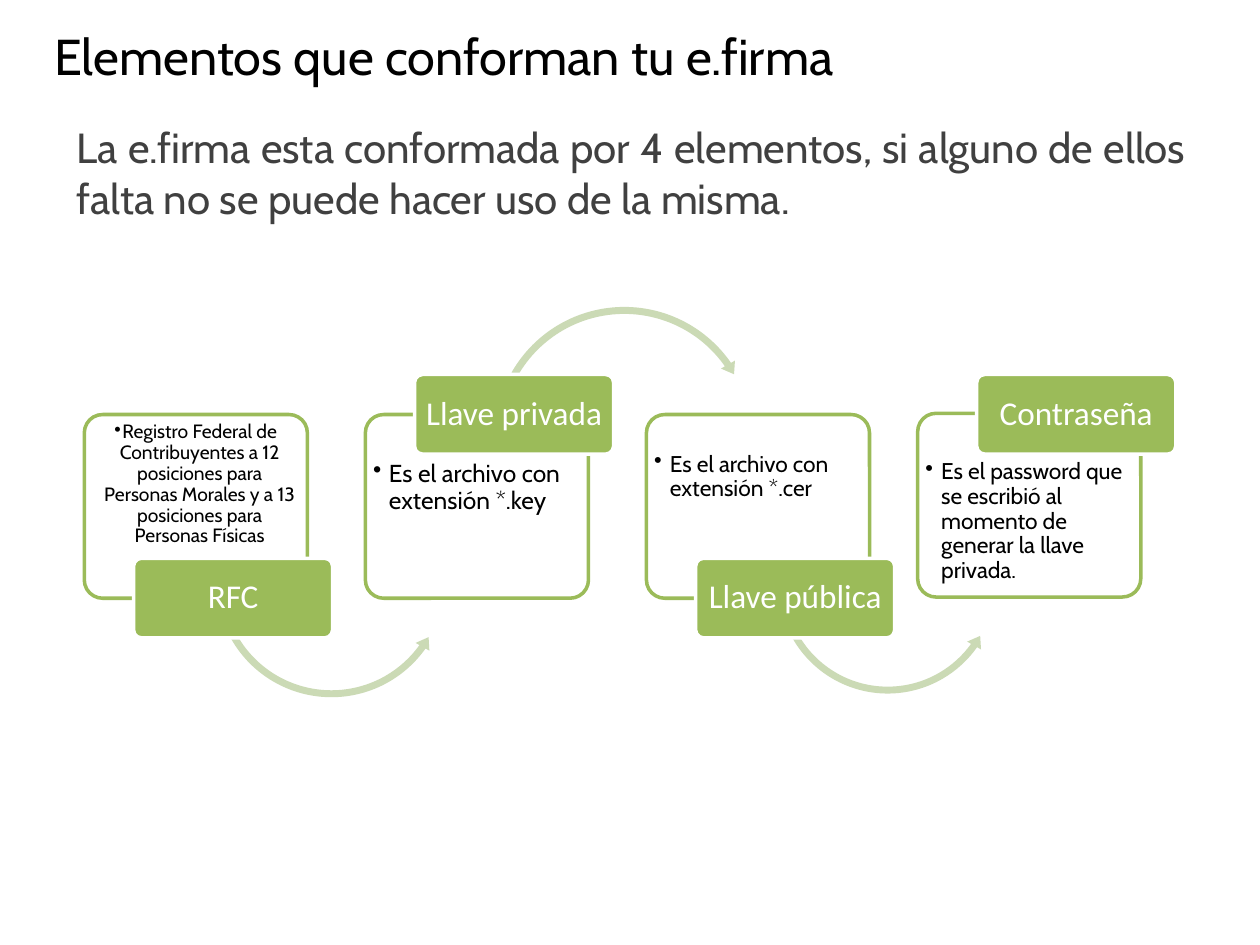
from lxml.etree import SubElement
from pptx import Presentation
from pptx.dml.color import RGBColor
from pptx.enum.shapes import MSO_SHAPE
from pptx.enum.text import MSO_ANCHOR, PP_ALIGN
from pptx.oxml.ns import qn
from pptx.util import Pt

COLORS = {"green": "9BBB59", "pale": "CBDAB5", "white": "FFFFFF",
          "black": "000000", "gray": "404040"}
CARD_W, CARD_H = 127.5, 105
TAG_W, TAG_H = 113.75, 45.5
HIGH, LOW = 214, 319  # tops of the labels above and below a card
PITCH = 160.6


def color(name):
    return RGBColor.from_string(COLORS[name])


class Deck:
    """Holds the style and the current slide."""
    body = "Cabin"
    label = "Calibri"

    def __init__(self):
        self.prs = Presentation()
        self.prs.slide_width, self.prs.slide_height = Pt(720), Pt(540)
        self.slide = self.prs.slides.add_slide(self.prs.slide_layouts[6])

    def letter(self, shape, text, size, font, ink, align, anchor, insets):
        """Fill a shape with one paragraph; insets are left, top, right, bottom."""
        frame = shape.text_frame
        frame.word_wrap = True
        frame.vertical_anchor = anchor
        (frame.margin_left, frame.margin_top,
         frame.margin_right, frame.margin_bottom) = map(Pt, insets)
        para = frame.paragraphs[0]
        para.text = text
        para.alignment = align
        para.font.size, para.font.name = Pt(size), font
        para.font.color.rgb = color(ink)
        return para

    def text(self, box, text, size, ink, align=PP_ALIGN.LEFT,
             anchor=MSO_ANCHOR.TOP):
        shape = self.slide.shapes.add_textbox(*map(Pt, box))
        self.letter(shape, text, size, self.body, ink, align, anchor,
                    (7.2, 3.6, 7.2, 3.6))

    def shape(self, kind, box, fill, line=None, adj=()):
        shape = self.slide.shapes.add_shape(kind, *map(Pt, box))
        shape.shadow.inherit = False
        shape.fill.solid()
        shape.fill.fore_color.rgb = color(fill)
        if line:
            shape.line.color.rgb = color(line)
            shape.line.width = Pt(2)
        else:
            shape.line.fill.background()
        for i, value in enumerate(adj):
            shape.adjustments[i] = value
        return shape

    def card(self, left, top, text, size, inset, align, indent):
        shape = self.shape(MSO_SHAPE.ROUNDED_RECTANGLE,
                           (left, top, CARD_W, CARD_H), "white", "green", [0.1])
        fill = shape._element.spPr.find(qn("a:solidFill")).find(qn("a:srgbClr"))
        SubElement(fill, qn("a:alpha")).set("val", "90000")
        para = self.letter(shape, text, size, self.body, "black", align,
                           MSO_ANCHOR.TOP, (1.4, inset, 1.4, 1.4))
        para.line_spacing = 0.9
        props = para._p.get_or_add_pPr()
        props.set("marL", str(Pt(indent)))
        props.set("indent", str(-Pt(indent)))
        SubElement(props, qn("a:buChar")).set("char", "•")
        props.append(props.find(qn("a:defRPr")))

    def arc(self, kind, left, top, side, adj):
        self.shape(kind, (left, top, side, side), "pale", adj=adj)

    def tag(self, left, top, text):
        shape = self.shape(MSO_SHAPE.ROUNDED_RECTANGLE,
                           (left, top, TAG_W, TAG_H), "green", "white", [0.1])
        para = self.letter(shape, text, 19, self.label, "white",
                           PP_ALIGN.CENTER, MSO_ANCHOR.MIDDLE, (2.9, 2, 2.9, 2))
        para.line_spacing = 0.9


def main():
    deck = Deck()
    deck.text((23.8, 15.1, 648, 33.1), "Elementos que conforman tu e.firma",
              28.8, "black", anchor=MSO_ANCHOR.MIDDLE)
    deck.text((36.7, 66.2, 648, 390),
              "La e.firma esta conformada por 4 elementos, si alguno de ellos "
              "falta no se puede hacer uso de la misma.",
              24, "gray", PP_ALIGN.JUSTIFY)

    left, mid = PP_ALIGN.LEFT, PP_ALIGN.CENTER
    under, over = MSO_SHAPE.LEFT_CIRCULAR_ARROW, MSO_SHAPE.CIRCULAR_ARROW
    first = 48.2
    # card left and top, text, size, top inset, align, indent; arc; label
    steps = [
        ((first, 236.9, "Registro Federal de Contribuyentes a 12 posiciones para "
          "Personas Morales y a 13 posiciones para Personas Físicas",
          11, 1.4, mid, 4.5),
         (under, 121, 264.2, 136.8, (0.029, 3.507, 21.262, 90.245, 0.033)),
         (first + 28.1, LOW, "RFC")),
        ((first + PITCH, 236.9, "Es el archivo con extensión *.key",
          14, 23.7, left, 9),
         (over, 280.1, 172.8, 153.4, (0.026, 3.111, 195.134, 125.755, 0.03)),
         (first + PITCH + 28.1, HIGH, "Llave privada")),
        ((first + 2 * PITCH, 236.9, "Es el archivo con extensión *.cer",
          13, 18.6, left, 9),
         (under, 442.1, 268.6, 130.3, (0.03, 3.688, 21.254, 90.055, 0.035)),
         (first + 2 * PITCH + 28.1, LOW, "Llave pública")),
        ((524.4, 236.2, "Es el password que se escribió al momento de generar "
          "la llave privada.", 13, 23.7, left, 9),
         None,
         (first + 3 * PITCH + 28.1, HIGH, "Contraseña")),
    ]
    for card, arc, tag in steps:
        deck.card(*card)
        if arc:
            deck.arc(*arc)
        deck.tag(*tag)
    deck.prs.save("out.pptx")


if __name__ == "__main__":
    main()
